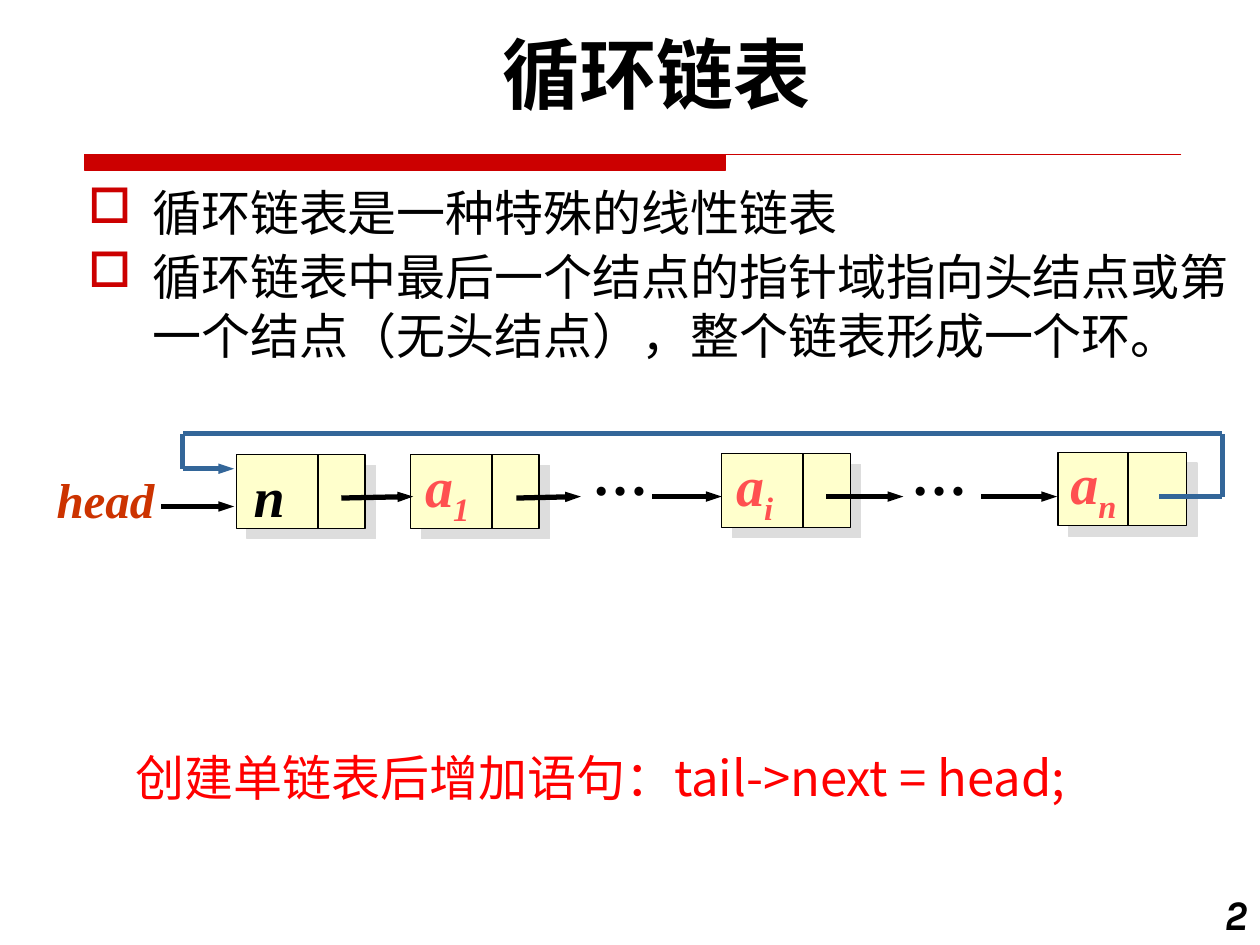
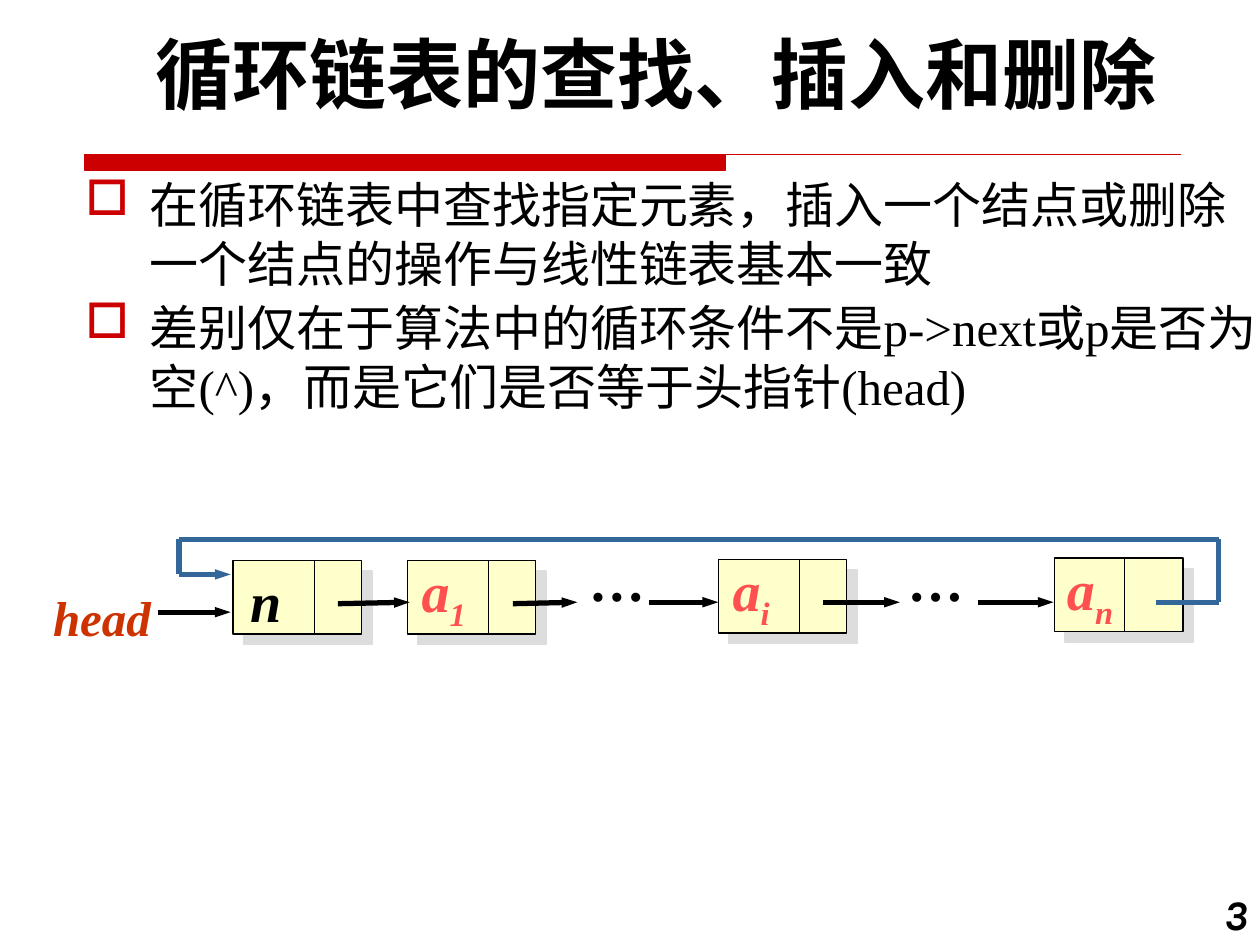
from lxml.etree import SubElement
from pptx import Presentation
from pptx.dml.color import RGBColor
from pptx.enum.shapes import MSO_CONNECTOR, MSO_SHAPE
from pptx.enum.text import MSO_ANCHOR, PP_ALIGN
from pptx.oxml.ns import qn
from pptx.util import Cm, Pt

# Colours
BLACK = RGBColor(0x00, 0x00, 0x00)
BAND_RED = RGBColor(0xCC, 0x00, 0x00)
NODE_YELLOW = RGBColor(0xFF, 0xFF, 0xCC)
ELEMENT_RED = RGBColor(0xFF, 0x50, 0x50)
HEAD_RED = RGBColor(0xCC, 0x33, 0x00)
CODE_RED = RGBColor(0xFF, 0x00, 0x00)
LOOP_BLUE = RGBColor(0x33, 0x66, 0x99)
SHADOW_GREY = "DDDDDD"

# Text formats
TITLE_FONT = {"name": "Karla", "size": Pt(44), "bold": True}
BODY_FONT = {"name": "Times New Roman", "size": Pt(28)}
NUMBER_FONT = {"name": "Karla", "size": Pt(24), "bold": True, "italic": True}
NODE_FONT = {"name": "Times New Roman", "size": Pt(32), "bold": True, "italic": True}
HEAD_FONT = {**NODE_FONT, "size": Pt(28)}
CODE_FONT = {"name": "Noto Sans CJK SC", "size": Pt(28)}

# Nodes: left, top, divider offset, label, subscript, label offset (cm)
NODE_WIDTH, NODE_HEIGHT = 2.59, 1.48
NODES = [
    (1.09, 0.43, 1.64, "n", "", 0),
    (4.60, 0.43, 1.64, "a", "1", 0.04),
    (10.87, 0.41, 1.64, "a", "i", 0.04),
    (17.65, 0.38, 1.41, "a", "n", 0),
]
# Pointer arrows: start and end (cm)
POINTERS = [
    ((-0.43, 1.47), (1.04, 1.47)),
    ((3.20, 1.30), (4.65, 1.27)),
    ((6.73, 1.30), (8.03, 1.27)),
    ((9.47, 1.27), (10.87, 1.27)),
    ((12.98, 1.27), (14.53, 1.27)),
    ((16.10, 1.27), (17.63, 1.27)),
]
ELLIPSIS_LEFTS = [8.05, 14.48]
# Way back from the last node to the first
LOOP = [(19.69, 1.27), (20.96, 1.27), (20.96, 0), (0, 0), (0, 0.71), (1.04, 0.71)]


def set_values(target, values):
    for name, value in values.items():
        setattr(target, name, value)


def add_run(paragraph, text, font, color):
    run = paragraph.add_run()
    run.text = text
    set_values(run.font, font)
    run.font.color.rgb = color
    return run


def add_text(shapes, box, text, font, color=BLACK, wrap=True, **paragraph_format):
    """Add a one-paragraph text box and return its text frame."""
    frame = shapes.add_textbox(*map(Cm, box)).text_frame
    frame.word_wrap = wrap
    paragraph = frame.paragraphs[0]
    set_values(paragraph, paragraph_format)
    add_run(paragraph, text, font, color)
    return frame


def add_line(shapes, start, end, color, width, arrow=False):
    line = shapes.add_connector(MSO_CONNECTOR.STRAIGHT, *map(Cm, (*start, *end)))
    line.line.color.rgb = color
    line.line.width = Pt(width)
    if arrow:
        SubElement(line.line._get_or_add_ln(), qn("a:tailEnd"),
                   type="triangle", w="sm", len="med")
    SubElement(line._element.spPr, qn("a:effectLst"))


def add_band(slide):
    """Thick red bar that runs on as a thin rule."""
    builder = slide.shapes.build_freeform(Cm(1.7), Cm(3.12))
    corners = [(23.8, 3.12), (14.63, 3.12), (14.63, 3.43), (1.7, 3.43)]
    builder.add_line_segments([(Cm(x), Cm(y)) for x, y in corners], close=True)
    band = builder.convert_to_shape()
    band.shadow.inherit = False
    band.fill.solid()
    band.fill.fore_color.rgb = BAND_RED
    band.line.color.rgb = BAND_RED
    band.line.width = Pt(0.75)


def add_base_slide(presentation, title, number):
    slide = presentation.slides.add_slide(presentation.slide_layouts[6])
    add_band(slide)
    frame = add_text(slide.shapes, (1.7, 0.43, 23.06, 2.11), title, TITLE_FONT,
                     alignment=PP_ALIGN.CENTER, line_spacing=0.9)
    frame.vertical_anchor = MSO_ANCHOR.BOTTOM
    add_text(slide.shapes, (23.7, 17.78, 1.7, 1.27), number, NUMBER_FONT,
             alignment=PP_ALIGN.RIGHT)
    return slide


def add_bullets(slide, box, texts):
    frame = slide.shapes.add_textbox(*map(Cm, box)).text_frame
    frame.word_wrap = True
    for index, text in enumerate(texts):
        paragraph = frame.add_paragraph() if index else frame.paragraphs[0]
        properties = paragraph._p.get_or_add_pPr()
        properties.set("marL", str(Cm(1.3)))
        properties.set("indent", str(-Cm(1.3)))
        bullet_color = SubElement(properties, qn("a:buClr"))
        SubElement(bullet_color, qn("a:srgbClr"), val=str(BAND_RED))
        SubElement(properties, qn("a:buChar"), char="□")
        if index:
            paragraph.space_before = Pt(2.8)
        add_run(paragraph, text, BODY_FONT, BLACK)


def add_node(shapes, left, top, divider):
    """Two-field box with a hard grey shadow."""
    node = shapes.add_shape(MSO_SHAPE.RECTANGLE,
                            *map(Cm, (left, top, NODE_WIDTH, NODE_HEIGHT)))
    node.fill.solid()
    node.fill.fore_color.rgb = NODE_YELLOW
    node.line.color.rgb = BLACK
    node.line.width = Pt(0.75)
    effects = SubElement(node._element.spPr, qn("a:effectLst"))
    shadow = SubElement(effects, qn("a:outerShdw"), dist=str(Pt(8.5)),
                        dir="2700000", algn="ctr", rotWithShape="0")
    SubElement(shadow, qn("a:srgbClr"), val=SHADOW_GREY)
    add_line(shapes, (left + divider, top),
             (left + divider, top + NODE_HEIGHT), BLACK, 0.75)


def add_node_label(shapes, left, top, label, subscript):
    if not subscript:
        add_text(shapes, (left, top, 1.22, 1.6), label, NODE_FONT,
                 alignment=PP_ALIGN.RIGHT)
        return
    frame = add_text(shapes, (left, top - 0.2, 1.5, 1.6), label, NODE_FONT,
                     ELEMENT_RED, wrap=False)
    run = add_run(frame.paragraphs[0], subscript, NODE_FONT, ELEMENT_RED)
    run.font._element.set("baseline", "-25000")


def add_circular_list(slide, left, top, head_drop):
    """Draw the list with the loop's upper left corner at left, top."""
    shapes = slide.shapes.add_group_shape().shapes

    def place(point):
        return left + point[0], top + point[1]

    # Nodes
    for x, y, divider, label, subscript, shift in NODES:
        node_left, node_top = place((x, y))
        add_node(shapes, node_left, node_top, divider)
        add_node_label(shapes, node_left + shift, node_top, label, subscript)

    # Head pointer name and gaps in the chain
    add_text(shapes, (*place((-2.79, head_drop)), 2.51, 1.45), "head",
             HEAD_FONT, HEAD_RED, wrap=False)
    for x in ELLIPSIS_LEFTS:
        add_text(shapes, (*place((x, 0)), 1.4, 1.6), "…", NODE_FONT)

    # Pointers and loop
    for start, end in POINTERS:
        add_line(shapes, place(start), place(end), BLACK, 3, arrow=True)
    for start, end in zip(LOOP, LOOP[1:]):
        add_line(shapes, place(start), place(end), LOOP_BLUE, 3,
                 arrow=end == LOOP[-1])


def main():
    presentation = Presentation()
    presentation.slide_width, presentation.slide_height = Cm(25.4), Cm(19.05)

    # Definition
    slide = add_base_slide(presentation, "循环链表", "2")
    add_bullets(slide, (1.52, 3.56, 24.33, 10.8), [
        "循环链表是一种特殊的线性链表",
        "循环链表中最后一个结点的指针域指向头结点或第一个结点（无头结点），整个链表形成一个环。",
    ])
    add_circular_list(slide, 3.68, 8.74, head_drop=0.61)
    add_text(slide.shapes, (2.49, 14.94, 21.21, 1.45),
             "创建单链表后增加语句：tail->next = head;", CODE_FONT, CODE_RED)

    # Operations
    slide = add_base_slide(presentation, "循环链表的查找、插入和删除", "3")
    add_bullets(slide, (1.47, 3.4, 24.33, 5.72), [
        "在循环链表中查找指定元素，插入一个结点或删除一个结点的操作与线性链表基本一致",
        "差别仅在于算法中的循环条件不是p->next或p是否为空(^)，而是它们是否等于头指针(head)",
    ])
    add_circular_list(slide, 3.61, 10.87, head_drop=0.84)

    presentation.save("out.pptx")


if __name__ == "__main__":
    main()
